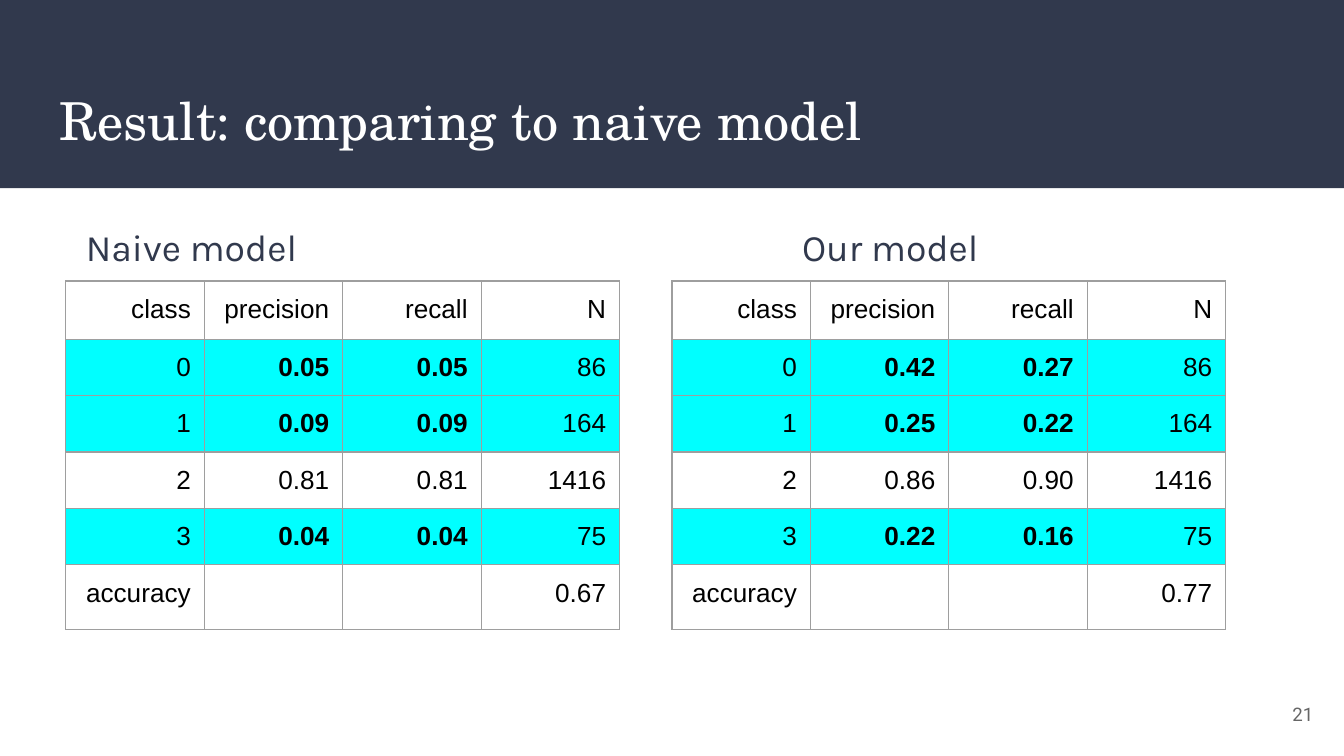
from lxml import etree
from pptx import Presentation
from pptx.dml.color import RGBColor
from pptx.enum.shapes import MSO_SHAPE
from pptx.enum.text import MSO_ANCHOR, PP_ALIGN
from pptx.oxml.ns import qn
from pptx.util import Inches, Pt

RECTANGLE = MSO_SHAPE.RECTANGLE
TOP, MIDDLE = MSO_ANCHOR.TOP, MSO_ANCHOR.MIDDLE
LEFT, RIGHT = PP_ALIGN.LEFT, PP_ALIGN.RIGHT

NAVY, WHITE, BLACK = "31394D", "FFFFFF", "000000"
CYAN, BORDER_GRAY, NUMBER_GRAY = "00FFFF", "9E9E9E", "666666"

HEADER = ["class", "precision", "recall", "N"]
HIGHLIGHTED_CLASSES = {"0", "1", "3"}
NAIVE_RESULTS = [
    HEADER,
    ["0", "0.05", "0.05", "86"],
    ["1", "0.09", "0.09", "164"],
    ["2", "0.81", "0.81", "1416"],
    ["3", "0.04", "0.04", "75"],
    ["accuracy", "", "", "0.67"],
]
OUR_RESULTS = [
    HEADER,
    ["0", "0.42", "0.27", "86"],
    ["1", "0.25", "0.22", "164"],
    ["2", "0.86", "0.90", "1416"],
    ["3", "0.22", "0.16", "75"],
    ["accuracy", "", "", "0.77"],
]


def rgb(value):
    """Turn a hex string into a colour."""
    return RGBColor.from_string(value)


def write(frame, text, font, size, color, align=LEFT, anchor=TOP):
    """Put one formatted paragraph into a text frame with even margins."""
    frame.text = text
    frame.word_wrap = True
    frame.vertical_anchor = anchor
    frame.margin_left = frame.margin_right = Inches(0.1)
    frame.margin_top = frame.margin_bottom = Inches(0.1)
    return format_paragraph(frame.paragraphs[0], font, size, color, align)


def format_paragraph(paragraph, font, size, color, align):
    """Set the alignment and the run fonts of a paragraph."""
    paragraph.alignment = align
    for run in paragraph.runs:
        run.font.name = font
        run.font.size = Pt(size)
        run.font.color.rgb = rgb(color)
    return paragraph


def add_title_band(slide, left, top, width, height):
    """Draw the dark band and set the slide title on it."""
    band = slide.shapes.add_shape(
        RECTANGLE, Inches(left), Inches(top), Inches(width), Inches(height))
    band.shadow.inherit = False
    band.fill.solid()
    band.fill.fore_color.rgb = rgb(NAVY)
    band.line.fill.background()
    title = slide.shapes.title
    band.element.getparent().insert(2, band.element)
    title.left, title.top = Inches(left + 0.34), Inches(top + 0.55)
    title.width, title.height = Inches(width - 0.68), Inches(0.68)
    write(title.text_frame, "Result: comparing to naive model",
          "TeX Gyre Schola", 28, WHITE, anchor=MIDDLE)


def add_borders(cell):
    """Outline all four sides of a table cell."""
    properties = cell._tc.get_or_add_tcPr()
    for side in ("a:lnL", "a:lnR", "a:lnT", "a:lnB"):
        line = etree.SubElement(properties, qn(side), w=str(Pt(0.75)))
        fill = etree.SubElement(line, qn("a:solidFill"))
        etree.SubElement(fill, qn("a:srgbClr"), val=BORDER_GRAY)


def fill_row(table, row_index, values):
    """Write one result row, marking the highlighted classes."""
    highlighted = values[0] in HIGHLIGHTED_CLASSES
    for column_index, value in enumerate(values):
        cell = table.cell(row_index, column_index)
        cell.margin_left = cell.margin_right = cell.margin_top = Inches(0.1)
        cell.margin_bottom = Inches(0.08 if row_index else 0.1)
        cell.text = value
        paragraph = format_paragraph(
            cell.text_frame.paragraphs[0], "Arial", 14, BLACK, RIGHT)
        for run in paragraph.runs:
            run.font.bold = highlighted and column_index in (1, 2)
        add_borders(cell)
        if highlighted:
            cell.fill.solid()
            cell.fill.fore_color.rgb = rgb(CYAN)
        else:
            cell.fill.background()


def add_model_results(slide, left, top, heading, heading_offset, results):
    """Place a model heading with its table of results below."""
    heading_box = slide.shapes.add_textbox(
        Inches(left + heading_offset), Inches(top), Inches(2.5), Inches(0.57))
    paragraph = write(heading_box.text_frame, heading, "Karla", 20, NAVY)
    paragraph.line_spacing = 1.15

    column_width, row_height = 1.03, 0.42
    table = slide.shapes.add_table(
        len(results), len(HEADER), Inches(left), Inches(top + 0.57),
        Inches(column_width * len(HEADER)),
        Inches(row_height * len(results))).table
    table.first_row = table.horz_banding = False
    for column in table.columns:
        column.width = Inches(column_width)
    for row in table.rows:
        row.height = Inches(row_height)
    table.rows[0].height = Inches(0.43)
    for row_index, values in enumerate(results):
        fill_row(table, row_index, values)


def add_page_number(slide, left, top, width, height):
    """Place the page number."""
    number_box = slide.shapes.add_textbox(
        Inches(left), Inches(top), Inches(width), Inches(height))
    write(number_box.text_frame, "21", "Roboto", 10, NUMBER_GRAY, RIGHT, MIDDLE)


def main():
    """Build and save the slide."""
    presentation = Presentation()
    presentation.slide_width = Inches(10)
    presentation.slide_height = Inches(10 * 9 / 16)
    slide = presentation.slides.add_slide(presentation.slide_layouts[5])
    add_title_band(slide, 0, 0, 10, 1.4)
    add_model_results(slide, 0.49, 1.52, "Naive model", 0.05, NAIVE_RESULTS)
    add_model_results(slide, 5, 1.52, "Our model", 0.87, OUR_RESULTS)
    add_page_number(slide, 9.27, 5.1, 0.6, 0.43)
    presentation.save("out.pptx")


if __name__ == "__main__":
    main()
